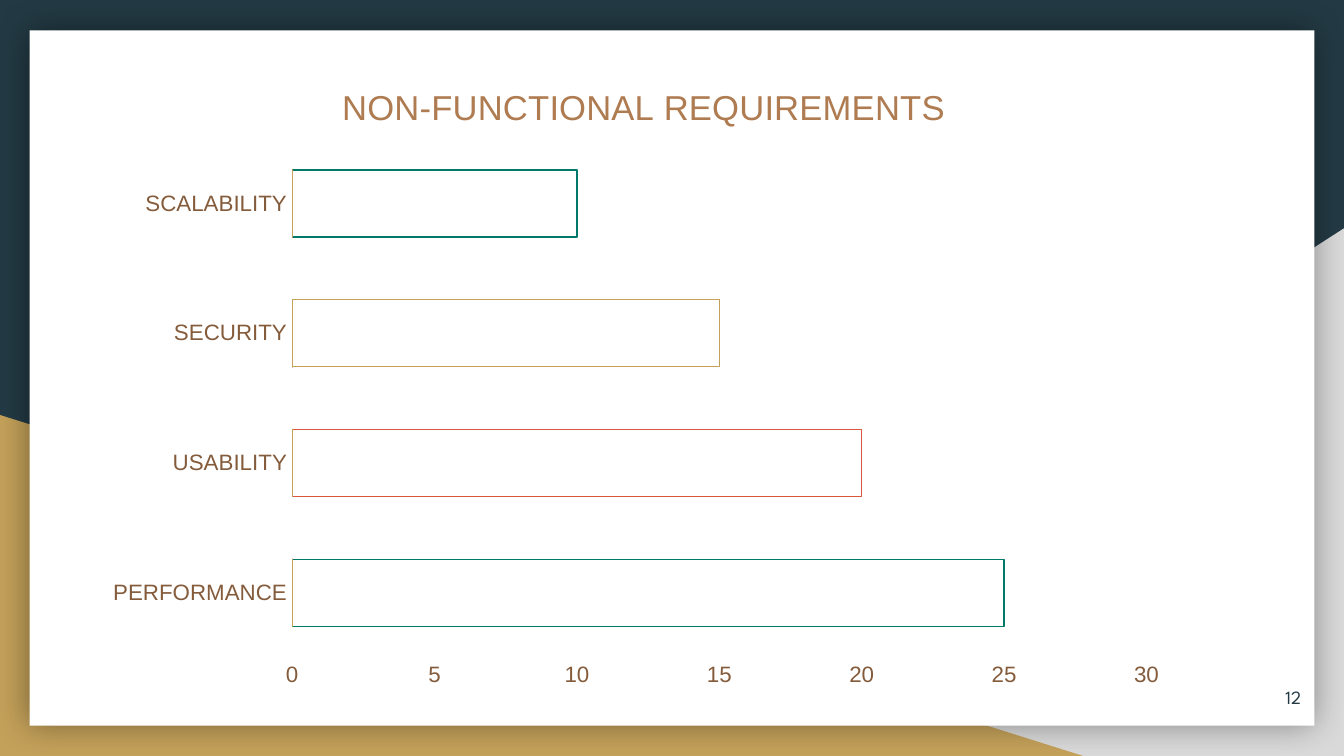
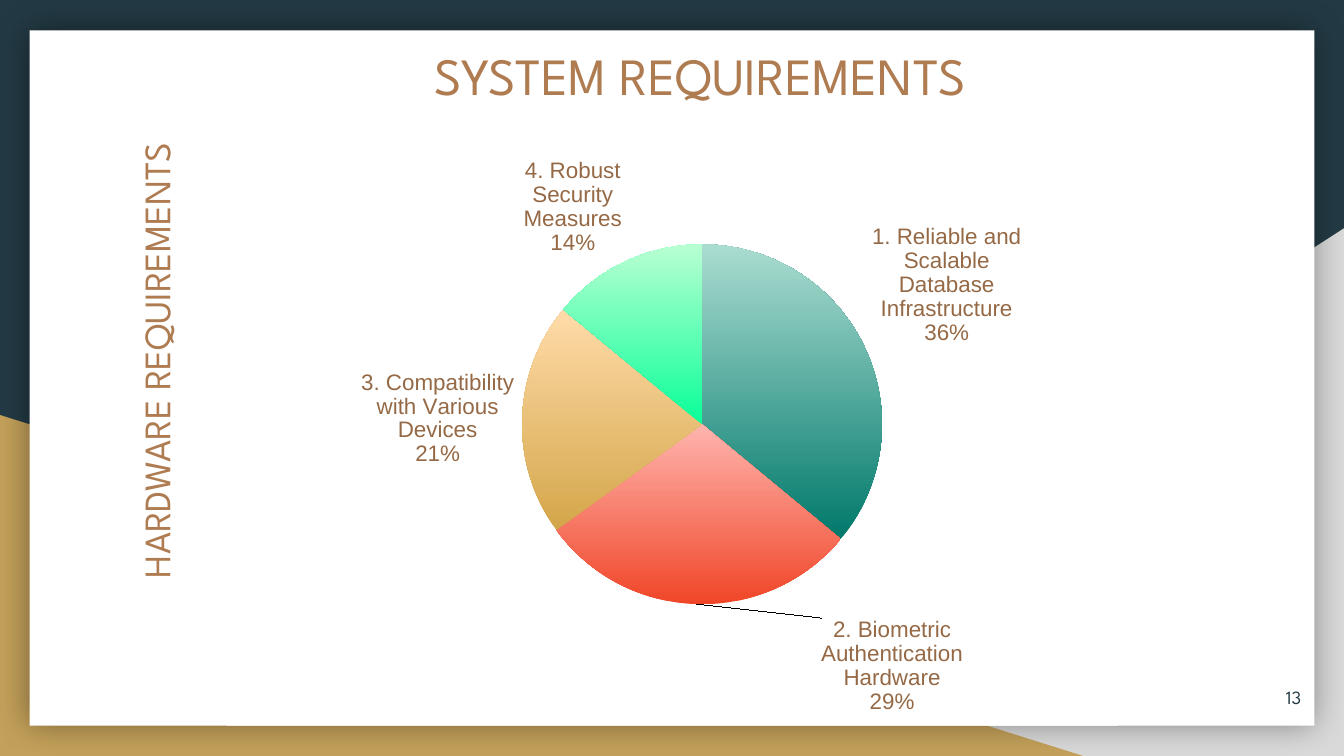
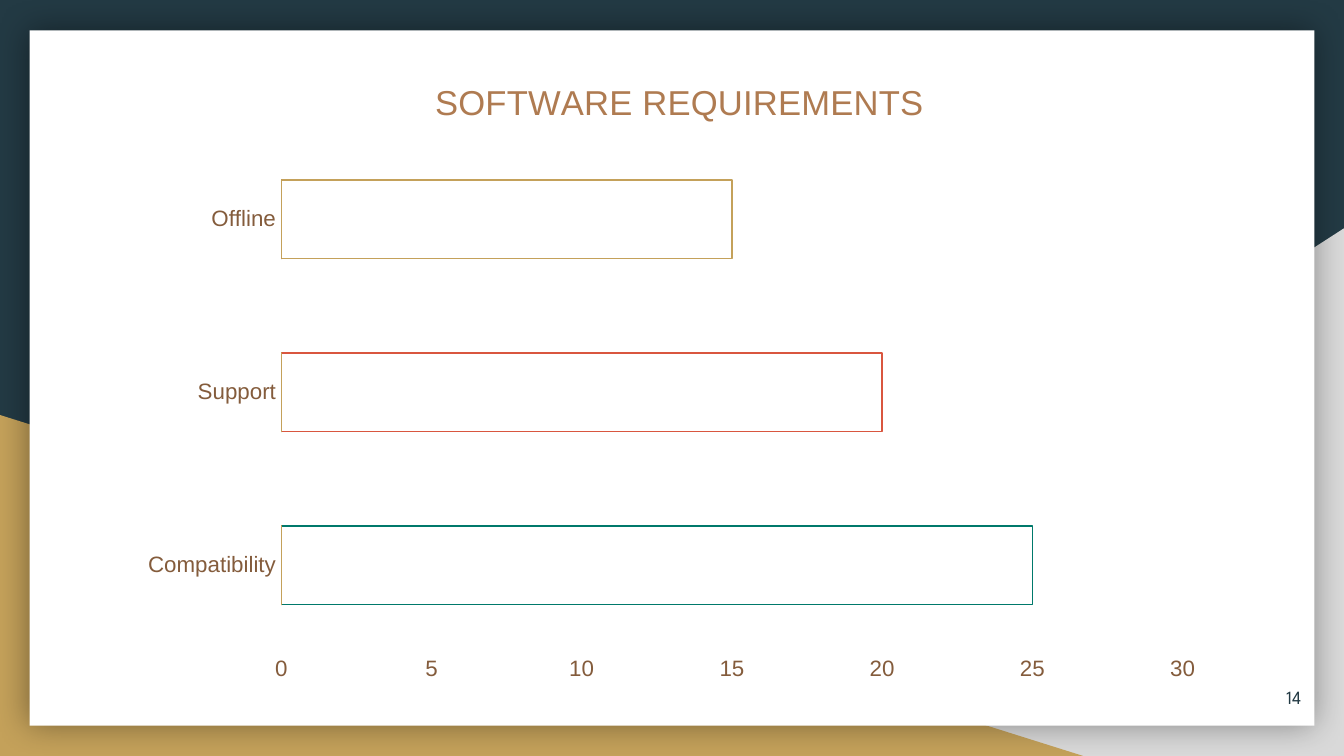
import copy
from dataclasses import dataclass

import lxml.etree
import pptx
import pptx.chart.data
import pptx.dml.color
import pptx.enum.chart
import pptx.enum.shapes
import pptx.enum.text
import pptx.oxml
import pptx.oxml.ns
import pptx.util

Pt = pptx.util.Pt
qn = pptx.oxml.ns.qn
Shape = pptx.enum.shapes.MSO_SHAPE
Align = pptx.enum.text.PP_ALIGN
Anchor = pptx.enum.text.MSO_ANCHOR
ChartType = pptx.enum.chart.XL_CHART_TYPE

WIDTH, HEIGHT = pptx.util.Inches(10), pptx.util.Inches(5.625)
TITLE_ONLY, BLANK = 5, 6
FIRST_NUMBER = 12


@dataclass(frozen=True)
class Theme:
    navy: str = "233A44"
    grey: str = "D9D9D9"
    gold: str = "C4A15A"
    white: str = "FFFFFF"
    copper: str = "AF7B51"
    axis_text: str = "845C3C"
    label_text: str = "956945"
    bars: tuple = ("00796B", "D9563F", "C4A15A")
    slices: tuple = (("00796B", "ABDCD1"), ("F04628", "FFB4AE"),
                     ("D4A64A", "FFDBA9"), ("0AFF99", "B8FFD2"))
    heading_font: str = "League Spartan"
    chart_font: str = "Arial"
    title_size: float = 28
    side_size: float = 20
    chart_title_size: float = 18.6
    label_size: float = 12
    small_size: float = 10
    hairline: float = 0.75
    border: float = 1.5


THEME = Theme()


@dataclass(frozen=True)
class Box:
    """A region in percent of the slide's width and height."""
    left: float
    top: float
    width: float
    height: float

    def lengths(self):
        return (int(WIDTH * self.left / 100), int(HEIGHT * self.top / 100),
                int(WIDTH * self.width / 100), int(HEIGHT * self.height / 100))


GREY_CORNER = Box(39.2, 30.2, 60.8, 69.8)
GOLD_CORNER = Box(0, 54.9, 80.6, 45.1)
CARD = Box(2.2, 4, 95.6, 92)
NUMBER = Box(91.8, 88.4, 6, 7.6)
HEADING = Box(14.5, 4, 75.2, 12.8)
SIDE_HEADING = Box(-25.1, 41.25, 75.2, 12.8)
PIE = Box(16.9, 16.9, 66.3, 79.1)

BAR_SLIDES = {
    "non_functional": dict(
        title="NON-FUNCTIONAL REQUIREMENTS", box=Box(6.6, 6.75, 81.5, 86.2),
        categories=("PERFORMANCE", "USABILITY", "SECURITY", "SCALABILITY"),
        rows=((25, 0, 0, 10), (0, 20, 0, 0), (0, 0, 15, 0)),
        gap=94, title_left=0.225, plot=(0.185, 0.133, 0.782, 0.8)),
    "software": dict(
        title="SOFTWARE REQUIREMENTS", box=Box(9.2, 6.05, 81.5, 86.2),
        categories=("Compatibility", "Support", "Offline"),
        rows=((25, 0, 0), (0, 20, 0), (0, 0, 15)),
        gap=120, title_left=0.278, plot=(0.143, 0.132, 0.825, 0.8)),
}
HARDWARE = {
    "1. Reliable and Scalable Database Infrastructure": 36,
    "2. Biometric Authentication Hardware": 29,
    "3. Compatibility with Various Devices": 21,
    "4. Robust Security Measures": 14,
}


def rgb(color):
    return pptx.dml.color.RGBColor.from_string(color)


def set_all(target, **values):
    for name, value in values.items():
        setattr(target, name, value)


def style_font(font, name, size, color):
    set_all(font, name=name, size=Pt(size), bold=False)
    font.color.rgb = rgb(color)


def style_line(line, color, width):
    line.color.rgb = rgb(color)
    line.width = Pt(width)


def xml(tag, parent=None, **attributes):
    """Make a prefixed element, appended to its parent if there is one."""
    element = pptx.oxml.parse_xml(
        f"<{tag} {pptx.oxml.ns.nsdecls('a', 'c')}/>")
    for name, value in attributes.items():
        element.set(name, str(value))
    if parent is not None:
        parent.append(element)
    return element


def write(shape, text, size, color, align, anchor=Anchor.TOP):
    frame = shape.text_frame
    inset = pptx.util.Inches(0.1)
    set_all(frame, word_wrap=True, vertical_anchor=anchor,
            auto_size=pptx.enum.text.MSO_AUTO_SIZE.NONE,
            margin_left=inset, margin_right=inset,
            margin_top=inset, margin_bottom=inset)
    para = frame.paragraphs[0]
    para.alignment = align
    span = para.add_run()
    span.text = text
    style_font(span.font, THEME.heading_font, size, color)


def add_panel(page, box, kind, color):
    panel = page.shapes.add_shape(kind, *box.lengths())
    panel.shadow.inherit = False
    panel.fill.solid()
    panel.fill.fore_color.rgb = rgb(color)
    panel.line.fill.background()
    return panel


def dress_master(deck, page):
    """Draw the shared backdrop on a page and move it to the master."""
    master = deck.slide_master
    master.background.fill.solid()
    master.background.fill.fore_color.rgb = rgb(THEME.navy)
    grey = add_panel(page, GREY_CORNER, Shape.RIGHT_TRIANGLE, THEME.grey)
    grey._element.spPr.find(qn("a:xfrm")).set("flipH", "1")
    gold = add_panel(page, GOLD_CORNER, Shape.RIGHT_TRIANGLE, THEME.gold)
    card = add_panel(page, CARD, Shape.RECTANGLE, THEME.white)
    effects = card._element.spPr.find(qn("a:effectLst"))
    shadow = xml("a:outerShdw", effects, blurRad=int(Pt(18)), dist=0, dir=0,
                 algn="ctr", rotWithShape=0)
    xml("a:alpha", xml("a:srgbClr", shadow, val="000000"), val=40000)
    for depth, panel in enumerate((grey, gold, card), start=2):
        master.shapes._spTree.insert(depth, panel._element)


def add_number(page, number):
    label = page.shapes.add_textbox(*NUMBER.lengths())
    write(label, str(number), THEME.small_size, THEME.navy,
          Align.RIGHT, Anchor.MIDDLE)


def set_layout(parent, index, **shares):
    """Fix the place of a chart part, in shares of the chart's size."""
    for old in parent.findall(qn("c:layout")):
        parent.remove(old)
    layout = xml("c:layout")
    manual = xml("c:manualLayout", layout)
    if "w" in shares:
        xml("c:layoutTarget", manual, val="inner")
    if "mode" in shares:
        for axis in "xy":
            xml(f"c:{axis}Mode", manual, val=shares["mode"])
    for name in "xywh":
        if name in shares:
            xml(f"c:{name}", manual, val=shares[name])
    parent.insert(index, layout)


def add_chart(page, box, kind, categories, rows, plot, border=None):
    data = pptx.chart.data.CategoryChartData()
    data.categories = categories
    for index, row in enumerate(rows, start=1):
        data.add_series(f"Series {index}", row)
    chart = page.shapes.add_chart(kind, *box.lengths(), data).chart
    set_all(chart, has_legend=False, has_title=False)
    style_font(chart.font, THEME.chart_font, THEME.small_size, THEME.white)

    area = xml("c:spPr")
    xml("a:srgbClr", xml("a:solidFill", area), val=THEME.white)
    line = xml("a:ln", area)
    if border:
        line.set("w", str(int(Pt(border))))
        xml("a:srgbClr", xml("a:solidFill", line), val=THEME.white)
    else:
        xml("a:noFill", line)
    chart_part = chart._chartSpace.find(qn("c:chart"))
    chart_part.addnext(area)
    set_layout(chart_part.find(qn("c:plotArea")), 0, mode="edge",
               **dict(zip("xywh", plot)))
    return chart


def style_axis(axis):
    none = pptx.enum.chart.XL_TICK_MARK.NONE
    set_all(axis, major_tick_mark=none, minor_tick_mark=none,
            has_major_gridlines=True)
    style_line(axis.major_gridlines.format.line, THEME.white, THEME.hairline)
    axis.format.line.fill.background()
    style_font(axis.tick_labels.font, THEME.chart_font, THEME.label_size,
               THEME.axis_text)


def bar_region(page, title, box, categories, rows, gap, title_left, plot):
    chart = add_chart(page, box, ChartType.BAR_CLUSTERED, categories, rows,
                      plot, THEME.border)
    chart.has_title = True
    para = chart.chart_title.text_frame.paragraphs[0]
    span = para.add_run()
    span.text = title
    style_font(span.font, THEME.chart_font, THEME.chart_title_size,
               THEME.copper)
    set_layout(chart.chart_title._element, 1, mode="edge",
               x=title_left, y=0.04)

    for axis in (chart.category_axis, chart.value_axis):
        style_axis(axis)
    set_all(chart.value_axis, minimum_scale=0, maximum_scale=30, major_unit=5)
    bars = chart.plots[0]
    set_all(bars, gap_width=gap, overlap=100, vary_by_categories=False)
    for series, color in zip(bars.series, THEME.bars):
        series.invert_if_negative = False
        series.format.fill.background()
        style_line(series.format.line, color, THEME.hairline)


def label_slices(series, moved, x, y):
    """Label all slices outside, and shift the label of one of them."""
    labels = series.data_labels
    set_all(labels, show_value=False, show_percentage=True,
            show_category_name=True,
            position=pptx.enum.chart.XL_LABEL_POSITION.OUTSIDE_END)
    style_font(labels.font, THEME.chart_font, THEME.label_size,
               THEME.label_text)
    group = labels._element
    separator = xml("c:separator")
    separator.text = "\n"
    group.find(qn("c:showBubbleSize")).addnext(separator)

    label = xml("c:dLbl")
    xml("c:idx", label, val=moved)
    for part in group:
        if part.tag != qn("c:showLeaderLines"):
            label.append(copy.deepcopy(part))
    set_layout(label, 1, x=x, y=y)
    group.insert(0, label)


def pie_region(page, box, shares):
    chart = add_chart(page, box, ChartType.PIE, list(shares),
                      [list(shares.values())], (0.331, 0.195, 0.404, 0.602))
    series = chart.plots[0].series[0]
    for index, colors in enumerate(THEME.slices):
        fill = series.points[index].format.fill
        fill.gradient()
        fill.gradient_angle = 90
        for stop, color in zip(fill.gradient_stops, colors):
            stop.color.rgb = rgb(color)
    label_slices(series, moved=1, x=0.22, y=0.01)


def heading_region(page):
    title = page.shapes.title
    set_all(title, **dict(zip(("left", "top", "width", "height"),
                              HEADING.lengths())))
    write(title, "SYSTEM REQUIREMENTS", THEME.title_size, THEME.copper,
          Align.CENTER)
    side = page.shapes.add_textbox(*SIDE_HEADING.lengths())
    side.rotation = 270
    write(side, "HARDWARE REQUIREMENTS", THEME.side_size, THEME.copper,
          Align.CENTER)


def main():
    deck = pptx.Presentation()
    set_all(deck, slide_width=WIDTH, slide_height=HEIGHT)
    pages = [deck.slides.add_slide(deck.slide_layouts[layout])
             for layout in (BLANK, TITLE_ONLY, BLANK)]
    dress_master(deck, pages[0])
    for number, page in enumerate(pages, start=FIRST_NUMBER):
        add_number(page, number)
    non_functional, system, software = pages
    bar_region(non_functional, **BAR_SLIDES["non_functional"])
    pie_region(system, PIE, HARDWARE)
    heading_region(system)
    bar_region(software, **BAR_SLIDES["software"])
    deck.save("out.pptx")


if __name__ == "__main__":
    main()
